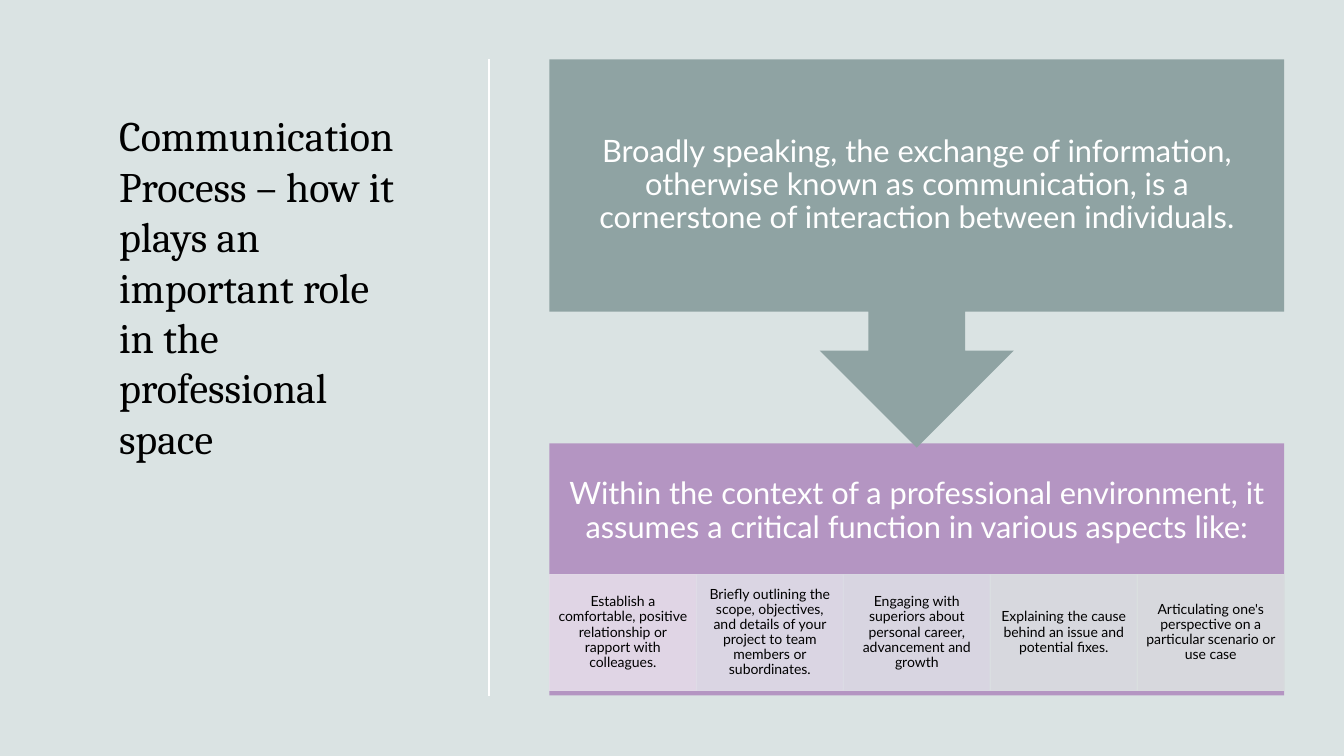
from pptx import Presentation
from pptx.dml.color import RGBColor
from pptx.enum import shapes, text
from pptx.oxml import ns
from pptx.util import Pt
from lxml import etree

COLORS = {
    "background": "DAE3E3",
    "title": "000000",
    "white": "FFFFFF",
    "callout": "8FA3A3",
    "panel": "B495C2",
}
ASPECTS = [
    ("E5DDE9", "Establish a comfortable, positive relationship or rapport with colleagues."),
    ("DFDCE7", "Briefly outlining the scope, objectives, and details of your project "
               "to team members or subordinates."),
    ("DCDDE5", "Engaging with superiors about personal career, advancement and growth"),
    ("DBE0E2", "Explaining the cause behind an issue and potential fixes."),
    ("DBE0E0", "Articulating one's perspective on a particular scenario or use case"),
]
LEFT, WIDTH = 392.4, 524.9
PANEL_TOP, PANEL_HEIGHT = 316.8, 180
ASPECT_TOP, ASPECT_HEIGHT = 410.4, 82.8


def rgb(color):
    return RGBColor.from_string(color)


def write(shape, wording, font, size, color, align, anchor, insets, spacing=1.0):
    """Fill a shape with one paragraph; insets are left, top, right, bottom."""
    frame = shape.text_frame
    frame.text = wording
    frame.word_wrap = True
    frame.auto_size = text.MSO_AUTO_SIZE.NONE
    frame.vertical_anchor = anchor
    (frame.margin_left, frame.margin_top,
     frame.margin_right, frame.margin_bottom) = map(Pt, insets)
    paragraph = frame.paragraphs[0]
    paragraph.alignment = align
    paragraph.line_spacing = spacing
    run_font = paragraph.runs[0].font
    run_font.name, run_font.size = font, Pt(size)
    run_font.color.rgb = rgb(color)


def add_title(slide, wording):
    title = slide.shapes.title
    title.left, title.top, title.width, title.height = map(Pt, (77.8, 74.9, 220.3, 369.4))
    write(title, wording, "Cambria", 30, COLORS["title"],
          text.PP_ALIGN.LEFT, text.MSO_ANCHOR.TOP, (7.2, 3.6, 7.2, 3.6))


def add_divider(slide, x, top, bottom):
    line = slide.shapes.add_connector(shapes.MSO_CONNECTOR.STRAIGHT,
                                      Pt(x), Pt(top), Pt(x), Pt(bottom))
    line.line.color.rgb = rgb(COLORS["white"])
    line.line.width = Pt(1)
    etree.SubElement(line._element.spPr, ns.qn("a:effectLst"))


def add_block(slide, kind, box, fill, wording, size, color, insets):
    shape = slide.shapes.add_shape(kind, *map(Pt, box))
    shape.shadow.inherit = False
    shape.fill.solid()
    shape.fill.fore_color.rgb = rgb(fill)
    shape.line.fill.background()
    write(shape, wording, "Lato", size, color, text.PP_ALIGN.CENTER,
          text.MSO_ANCHOR.MIDDLE, insets, 0.9)
    return shape


def add_aspect(slide, index, color, wording):
    width = WIDTH / len(ASPECTS)
    box = (LEFT + index * width, ASPECT_TOP, width, ASPECT_HEIGHT)
    cell = add_block(slide, shapes.MSO_SHAPE.RECTANGLE, box, color, wording, 10,
                     COLORS["title"], (5.8, 0.7, 5.8, 0.7))
    cell.line.color.rgb = rgb(color)
    cell.line.width = Pt(0.75)
    # Let the panel show slightly through fill and outline
    for color_element in cell._element.spPr.iter(ns.qn("a:srgbClr")):
        etree.SubElement(color_element, ns.qn("a:alpha"), val="90000")


def main():
    presentation = Presentation()
    presentation.slide_width, presentation.slide_height = Pt(960), Pt(540)
    slide = presentation.slides.add_slide(presentation.slide_layouts[5])
    slide.background.fill.solid()
    slide.background.fill.fore_color.rgb = rgb(COLORS["background"])

    # Left side
    add_title(slide, "Communication Process – how it plays an important role "
                     "in the professional space")
    add_divider(slide, 349.2, 42.5, 497.5)

    # Lower panel: the bottom inset keeps its heading above the aspects
    add_block(slide, shapes.MSO_SHAPE.RECTANGLE, (LEFT, PANEL_TOP, WIDTH, PANEL_HEIGHT),
              COLORS["panel"],
              "Within the context of a professional environment, it assumes a critical "
              "function in various aspects like:",
              22, COLORS["white"], (12.2, 12.2, 12.2, 95))
    for index, (color, wording) in enumerate(ASPECTS):
        add_aspect(slide, index, color, wording)

    # Upper callout, pointing down to the panel
    add_block(slide, shapes.MSO_SHAPE.DOWN_ARROW_CALLOUT, (LEFT, 42.5, WIDTH, 277.2),
              COLORS["callout"],
              "Broadly speaking, the exchange of information, otherwise known as "
              "communication, is a cornerstone of interaction between individuals.",
              22, COLORS["white"], (12.2, 12.2, 12.2, 12.2))

    presentation.save("out.pptx")


if __name__ == "__main__":
    main()
